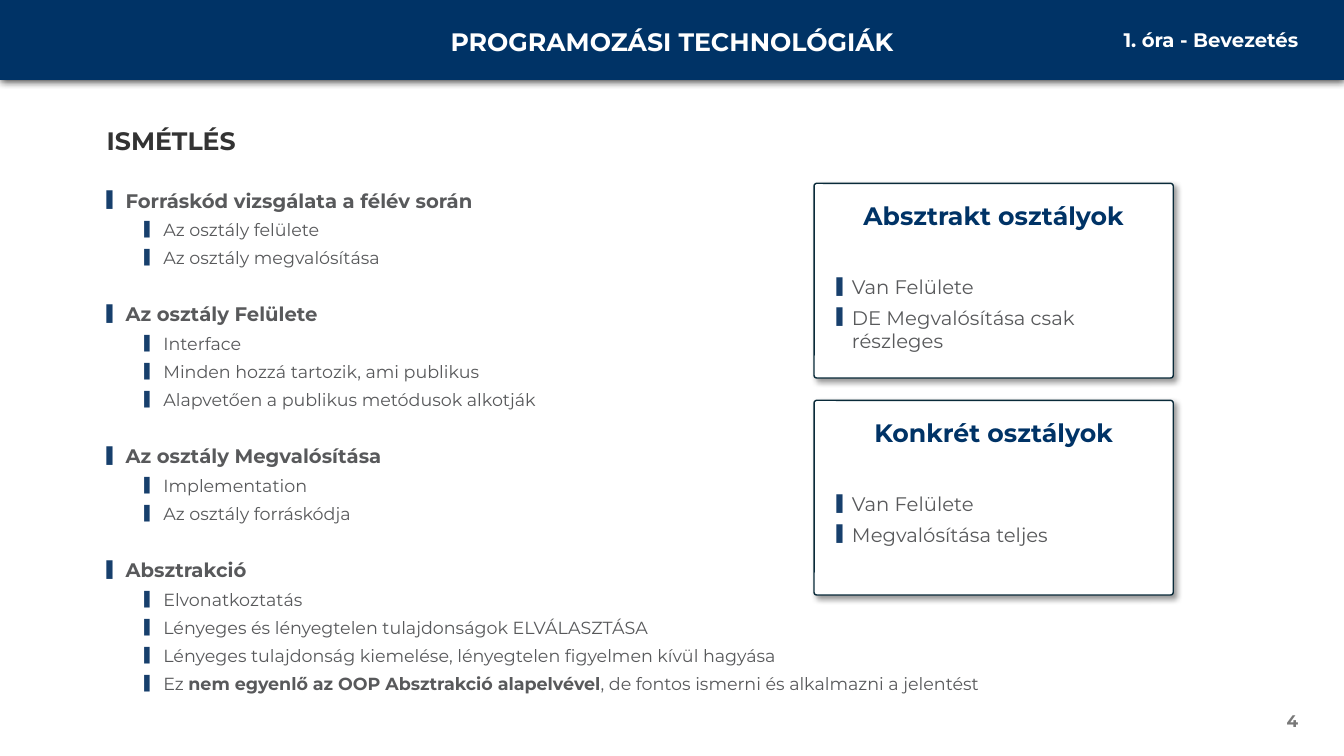
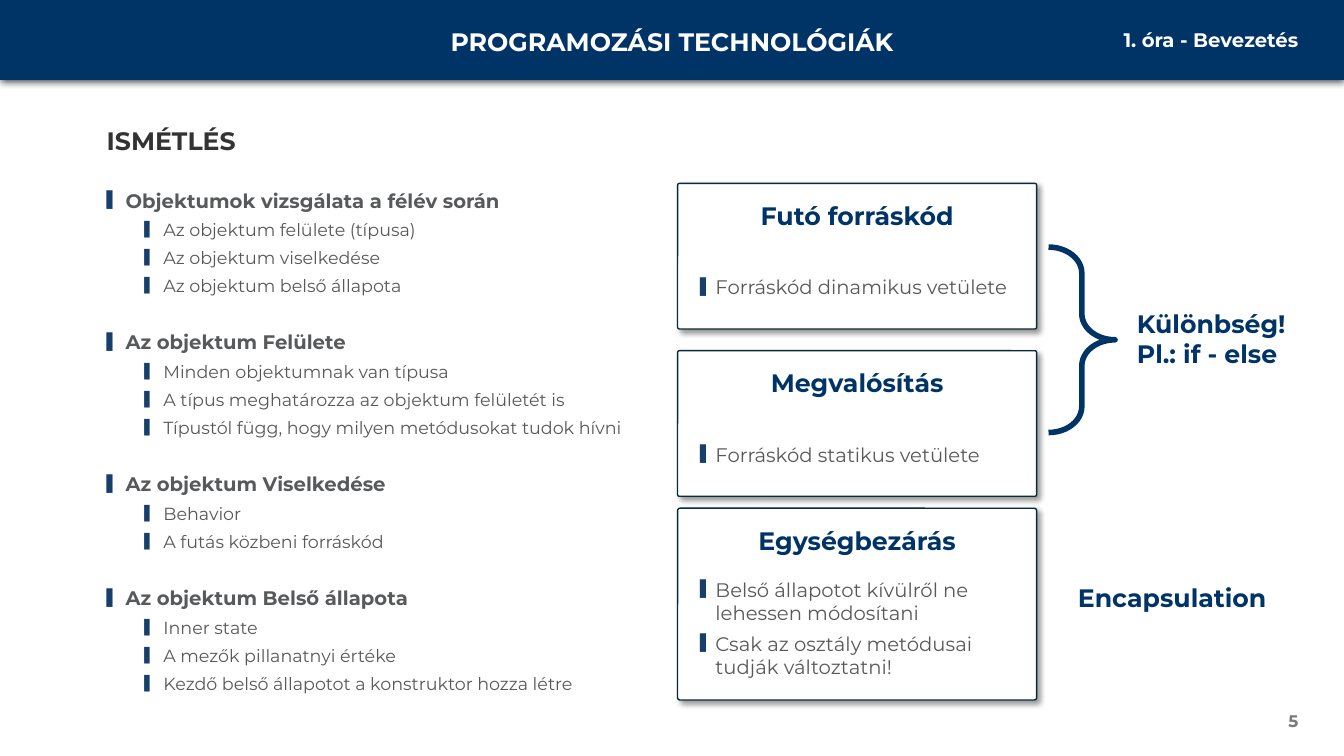
from dataclasses import dataclass
from typing import NamedTuple

from lxml.etree import SubElement
from pptx import Presentation
from pptx.dml.color import RGBColor
from pptx.enum.shapes import MSO_SHAPE as Form
from pptx.enum.text import MSO_ANCHOR as Anchor, MSO_AUTO_SIZE as Fit, PP_ALIGN as Align
from pptx.oxml.ns import qn
from pptx.util import Pt

FONT = "Montserrat"
COLORS = {
    "navy": "003366",
    "white": "FFFFFF",
    "heading": "333333",
    "text": "58595B",
    "bullet": "173F6C",
    "number": "797979",
    "border": "092A39",
    "shadow": "000000",
}
SLIDE_WIDTH, SLIDE_HEIGHT = 960, 540
CARD_WIDTH = 256.5


class Box(NamedTuple):
    left: float
    top: float
    width: float
    height: float


class Bit(NamedTuple):
    text: str
    bold: bool = False


class Style(NamedTuple):
    size: float
    color: str
    bold: bool = False


class Shadow(NamedTuple):
    alpha: int
    blur: float
    distance: float
    angle: int


class Indent(NamedTuple):
    left: float
    hanging: float


@dataclass
class Topic:
    heading: str
    points: list[str | tuple[Bit, ...]]


@dataclass
class Card:
    title: str
    points: list[str]
    left: float
    top: float
    height: float
    list_offset: float = 62


@dataclass
class Label:
    lines: list[str]
    box: Box
    align: Align


@dataclass
class Lesson:
    number: int
    topics: list[Topic]
    cards: list[Card]
    labels: list[Label]
    brace: Box | None = None


# Shared styles
BAND_TITLE = Style(18, "white", True)
BAND_NOTE = Style(14, "white", True)
PAGE_NUMBER = Style(12, "number", True)
PAGE_TITLE = Style(18, "heading", True)
ACCENT = Style(18, "navy", True)
TOPIC = Style(14, "text", True)
POINT = Style(12.5, "text")
CARD_POINT = Style(14, "text")
TOPIC_INDENT, POINT_INDENT, CARD_INDENT = Indent(13.5, 13.5), Indent(40.5, 13.5), Indent(11, 11)
BAND_SHADOW, CARD_SHADOW = Shadow(80, 6, 0, 90), Shadow(40, 4, 3, 45)
TOPIC_GAP, SPACE_BEFORE, SPACE_AFTER = 22.5, 3, 2


# Text helpers
def rgb(name: str) -> RGBColor:
    return RGBColor.from_string(COLORS[name])


def add_run(paragraph, text: str, style: Style) -> None:
    run = paragraph.add_run()
    run.text = text
    run.font.name = FONT
    run.font.size = Pt(style.size)
    run.font.bold = style.bold
    run.font.color.rgb = rgb(style.color)


def prepare(frame, anchor: Anchor = Anchor.TOP) -> None:
    frame.word_wrap = True
    frame.auto_size = Fit.NONE
    frame.vertical_anchor = anchor


def next_paragraph(frame):
    first = frame.paragraphs[0]
    return frame.add_paragraph() if first.runs else first


def write_lines(frame, lines: list[str], style: Style, align: Align) -> None:
    for line in lines:
        paragraph = next_paragraph(frame)
        paragraph.alignment = align
        add_run(paragraph, line, style)


def add_label(slide, lines: list[str], box: Box, style: Style, align: Align,
              anchor: Anchor = Anchor.TOP) -> None:
    frame = slide.shapes.add_textbox(*map(Pt, box)).text_frame
    prepare(frame, anchor)
    write_lines(frame, lines, style, align)


def add_bullet(frame, item: str | tuple[Bit, ...], style: Style, indent: Indent,
               level: int = 0, before: float = SPACE_BEFORE) -> None:
    is_first = not frame.paragraphs[0].runs
    paragraph = next_paragraph(frame)
    props = paragraph._p.get_or_add_pPr()
    props.set("marL", str(Pt(indent.left)))
    props.set("indent", str(-Pt(indent.hanging)))
    SubElement(SubElement(props, qn("a:buClr")), qn("a:srgbClr"), val=COLORS["bullet"])
    SubElement(props, qn("a:buSzPct"), val="80000")
    SubElement(props, qn("a:buFont"), typeface=FONT)
    SubElement(props, qn("a:buChar"), char="▌")
    paragraph.level = level
    paragraph.alignment = Align.LEFT
    paragraph.space_before = Pt(0 if is_first else before)
    paragraph.space_after = Pt(SPACE_AFTER)
    for bit in (Bit(item, style.bold),) if isinstance(item, str) else item:
        add_run(paragraph, bit.text, style._replace(bold=bit.bold))


# Shape helpers
def add_panel(slide, form: Form, box: Box, fill: str, shadow: Shadow):
    panel = slide.shapes.add_shape(form, *map(Pt, box))
    panel.fill.solid()
    panel.fill.fore_color.rgb = rgb(fill)
    panel.line.fill.background()
    panel.shadow.inherit = False
    effects = panel.element.spPr.find(qn("a:effectLst"))
    outer = SubElement(effects, qn("a:outerShdw"), blurRad=str(Pt(shadow.blur)),
                       dist=str(Pt(shadow.distance)), dir=str(shadow.angle * 60000),
                       algn="t" if shadow.angle == 90 else "tl", rotWithShape="0")
    tint = SubElement(outer, qn("a:srgbClr"), val=COLORS["shadow"])
    SubElement(tint, qn("a:alpha"), val=str(shadow.alpha * 1000))
    return panel


def outline(shape, color: str, width: float) -> None:
    shape.line.color.rgb = rgb(color)
    shape.line.width = Pt(width)


def add_card(slide, card: Card) -> None:
    panel = add_panel(slide, Form.ROUNDED_RECTANGLE,
                      Box(card.left, card.top, CARD_WIDTH, card.height), "white", CARD_SHADOW)
    panel.adjustments[0] = 0.013
    outline(panel, "border", 1)
    add_label(slide, [card.title], Box(card.left, card.top + 8.5, CARD_WIDTH, 29),
              ACCENT, Align.CENTER)
    points = slide.shapes.add_textbox(Pt(card.left + 9), Pt(card.top + card.list_offset),
                                      Pt(CARD_WIDTH - 18), Pt(card.height - card.list_offset))
    prepare(points.text_frame)
    for point in card.points:
        add_bullet(points.text_frame, point, CARD_POINT, CARD_INDENT)


def add_brace(slide, box: Box) -> None:
    brace = slide.shapes.add_shape(Form.RIGHT_BRACE, *map(Pt, box))
    brace.adjustments[0], brace.adjustments[1] = 0.391, 0.5
    brace.fill.background()
    brace.shadow.inherit = False
    outline(brace, "navy", 4)


# Slide parts
def place(placeholder, box: Box):
    placeholder.left, placeholder.top, placeholder.width, placeholder.height = map(Pt, box)
    prepare(placeholder.text_frame)
    return placeholder.text_frame


def add_frame(slide, number: int) -> None:
    add_panel(slide, Form.RECTANGLE, Box(0, 0, SLIDE_WIDTH, 57), "navy", BAND_SHADOW)
    add_label(slide, ["PROGRAMOZÁSI TECHNOLÓGIÁK"], Box(292, 15, 376, 29),
              BAND_TITLE, Align.CENTER)
    add_label(slide, ["1. óra - Bevezetés"], Box(740, 16.5, 194.5, 24), BAND_NOTE, Align.RIGHT)
    add_label(slide, [str(number)], Box(718.5, 500.5, 216, 29), PAGE_NUMBER,
              Align.RIGHT, Anchor.MIDDLE)


def add_lesson(deck, lesson: Lesson) -> None:
    slide = deck.slides.add_slide(deck.slide_layouts[1])
    add_frame(slide, lesson.number)
    title = place(slide.shapes.title, Box(69, 86, 256.5, 29))
    write_lines(title, ["ISMÉTLÉS"], PAGE_TITLE, Align.LEFT)
    outline_text = place(slide.placeholders[1], Box(69, 131, 865.5, 369.5))
    for topic in lesson.topics:
        add_bullet(outline_text, topic.heading, TOPIC, TOPIC_INDENT, before=TOPIC_GAP)
        for point in topic.points:
            add_bullet(outline_text, point, POINT, POINT_INDENT, level=1)
    for card in lesson.cards:
        add_card(slide, card)
    for label in lesson.labels:
        add_label(slide, label.lines, label.box, ACCENT, label.align)
    if lesson.brace:
        add_brace(slide, lesson.brace)


# Content
LESSONS = [
    Lesson(
        4,
        [
            Topic("Forráskód vizsgálata a félév során",
                  ["Az osztály felülete", "Az osztály megvalósítása"]),
            Topic("Az osztály Felülete",
                  ["Interface", "Minden hozzá tartozik, ami publikus",
                   "Alapvetően a publikus metódusok alkotják"]),
            Topic("Az osztály Megvalósítása", ["Implementation", "Az osztály forráskódja"]),
            Topic("Absztrakció",
                  ["Elvonatkoztatás",
                   "Lényeges és lényegtelen tulajdonságok ELVÁLASZTÁSA",
                   "Lényeges tulajdonság kiemelése, lényegtelen figyelmen kívül hagyása",
                   (Bit("Ez "), Bit("nem egyenlő az OOP Absztrakció alapelvével", True),
                    Bit(", de fontos ismerni és alkalmazni a jelentést"))]),
        ],
        [
            Card("Absztrakt osztályok", ["Van Felülete", "DE Megvalósítása csak részleges"],
                 581.5, 131, 139),
            Card("Konkrét osztályok", ["Van Felülete", "Megvalósítása teljes"],
                 581.5, 286, 139),
        ],
        [],
    ),
    Lesson(
        5,
        [
            Topic("Objektumok vizsgálata a félév során",
                  ["Az objektum felülete (típusa)", "Az objektum viselkedése",
                   "Az objektum belső állapota"]),
            Topic("Az objektum Felülete",
                  ["Minden objektumnak van típusa",
                   "A típus meghatározza az objektum felületét is",
                   "Típustól függ, hogy milyen metódusokat tudok hívni"]),
            Topic("Az objektum Viselkedése", ["Behavior", "A futás közbeni forráskód"]),
            Topic("Az objektum Belső állapota",
                  ["Inner state", "A mezők pillanatnyi értéke",
                   "Kezdő belső állapotot a konstruktor hozza létre"]),
        ],
        [
            Card("Futó forráskód", ["Forráskód dinamikus vetülete"], 484, 131, 104),
            Card("Megvalósítás", ["Forráskód statikus vetülete"], 484, 250.5, 104),
            Card("Egységbezárás",
                 ["Belső állapotot kívülről ne lehessen módosítani",
                  "Csak az osztály metódusai tudják változtatni!"],
                 484, 363, 137, list_offset=46),
        ],
        [
            Label(["Különbség!", "Pl.: if - else"], Box(805, 216.5, 138, 51), Align.LEFT),
            Label(["Encapsulation"], Box(740, 412.5, 194.5, 29), Align.CENTER),
        ],
        Box(749, 176.5, 47.5, 132.5),
    ),
]


def main() -> None:
    deck = Presentation()
    deck.slide_width, deck.slide_height = Pt(SLIDE_WIDTH), Pt(SLIDE_HEIGHT)
    for lesson in LESSONS:
        add_lesson(deck, lesson)
    deck.save("out.pptx")


if __name__ == "__main__":
    main()
